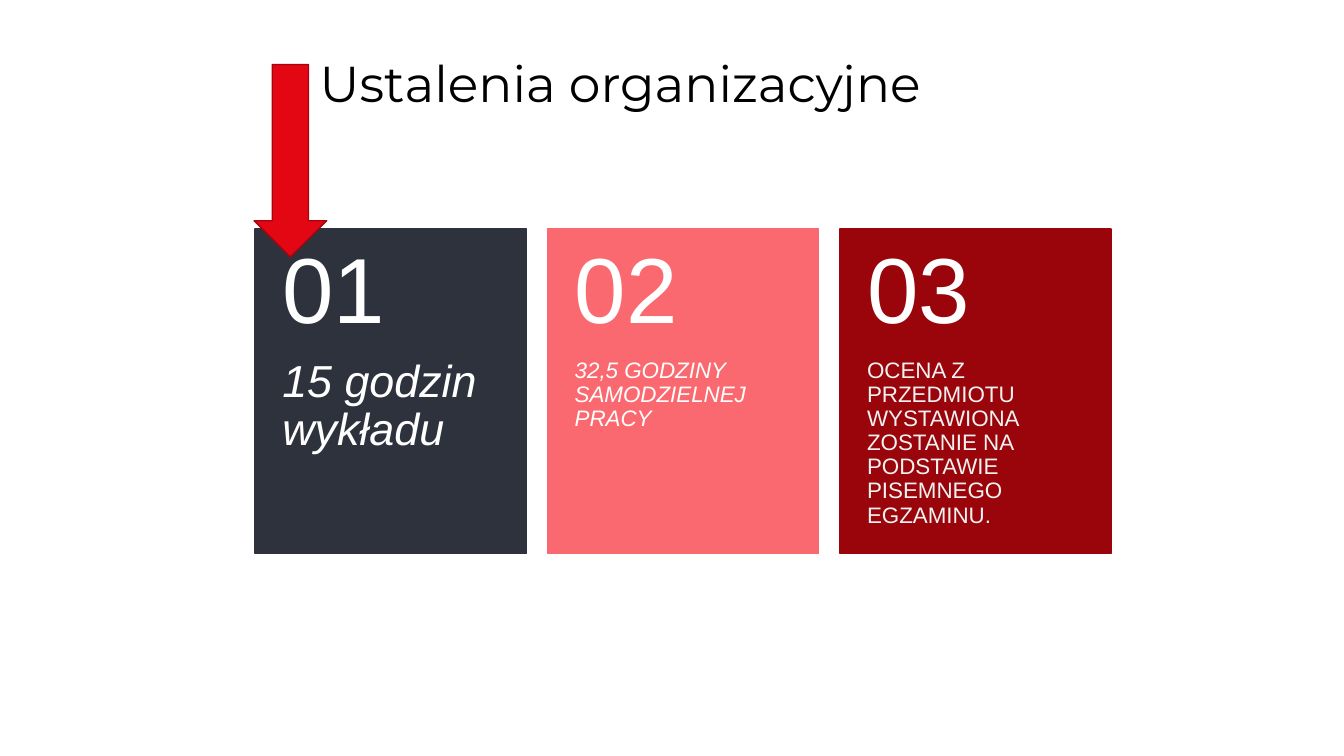
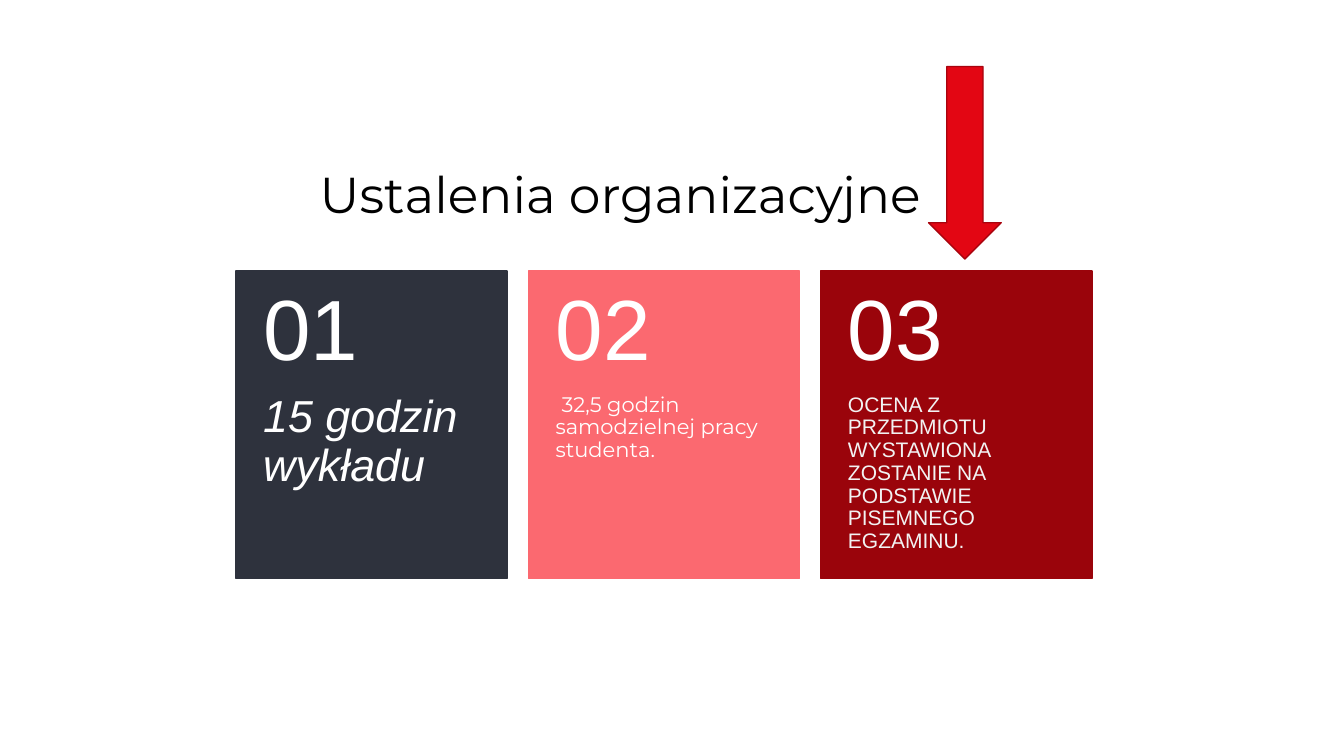
from pptx import Presentation
from pptx.dml.color import RGBColor
from pptx.enum.shapes import MSO_SHAPE
from pptx.enum.text import MSO_ANCHOR, MSO_AUTO_SIZE, PP_ALIGN
from pptx.util import Inches, Pt

BLACK = RGBColor(0x00, 0x00, 0x00)
WHITE = RGBColor(0xFF, 0xFF, 0xFF)
PALE = RGBColor(0xF2, 0xF2, 0xF2)
NAVY = RGBColor(0x2E, 0x32, 0x3D)
CORAL = RGBColor(0xFB, 0x69, 0x70)
MAROON = RGBColor(0x9A, 0x04, 0x0B)
RED = RGBColor(0xE3, 0x06, 0x13)
DARK_RED = RGBColor(0xA8, 0x04, 0x0E)

CARD_W, CARD_STEP = 2.69, 2.9
CARD_FILLS = [NAVY, CORAL, MAROON]
HOURS = dict(text="15 godzin wykładu", size=32, italic=True)
GRADE = dict(text="OCENA Z PRZEDMIOTU WYSTAWIONA ZOSTANIE NA PODSTAWIE "
                  "PISEMNEGO EGZAMINU.", color=PALE)

SLIDES = [
    dict(title_top=0.34, left=2.53, top=2.27, number_h=1.29, body_h=1.93,
         number_size=66, body_size=16, arrow=(2.52, 0.64),
         bodies=[HOURS,
                 dict(text="32,5 GODZINY SAMODZIELNEJ PRACY", italic=True),
                 GRADE]),
    dict(title_top=1.44, left=2.34, top=2.69, number_h=1.22, body_h=1.83,
         number_size=61, body_size=15, arrow=(9.21, 0.66),
         bodies=[HOURS,
                 dict(text="32,5 godzin samodzielnej pracy studenta.",
                      font="Montserrat", indent=0.06),
                 GRADE]),
]


def write(sp, text, size, font="Arial", color=WHITE, italic=False,
          anchor=MSO_ANCHOR.TOP, margins=(0.27, 0, 0.27, 0.36), indent=0):
    """Fill a shape with one paragraph; margins run left, top, right, bottom."""
    tf = sp.text_frame
    tf.word_wrap = True
    tf.auto_size = MSO_AUTO_SIZE.NONE
    tf.vertical_anchor = anchor
    (tf.margin_left, tf.margin_top,
     tf.margin_right, tf.margin_bottom) = [Inches(m) for m in margins]
    p = tf.paragraphs[0]
    p.alignment = PP_ALIGN.LEFT
    p.line_spacing = 0.9
    if indent:
        p._p.get_or_add_pPr().set("indent", str(Inches(indent)))
    r = p.add_run()
    r.text = text
    r.font.name = font
    r.font.size = Pt(size)
    r.font.italic = italic
    r.font.color.rgb = color


def add_block(s, kind, x, y, w, h, fill, line):
    sp = s.shapes.add_shape(kind, Inches(x), Inches(y), Inches(w), Inches(h))
    sp.shadow.inherit = False
    sp.fill.solid()
    sp.fill.fore_color.rgb = fill
    sp.line.color.rgb = line
    sp.line.width = Pt(1)


prs = Presentation()
prs.slide_width, prs.slide_height = Inches(13.33), Inches(7.5)

for page in SLIDES:
    s = prs.slides.add_slide(prs.slide_layouts[5])
    title = s.shapes.title
    title.left, title.top = Inches(2.42), Inches(page["title_top"])
    title.width, title.height = Inches(8.49), Inches(1.03)
    write(title, "Ustalenia organizacyjne", 36, font="Montserrat", color=BLACK,
          anchor=MSO_ANCHOR.MIDDLE, margins=(0.75, 0.05, 0.1, 0.05))

    top, number_h, body_h = page["top"], page["number_h"], page["body_h"]
    for i, (fill, body) in enumerate(zip(CARD_FILLS, page["bodies"])):
        x = page["left"] + i * CARD_STEP
        add_block(s, MSO_SHAPE.RECTANGLE, x, top, CARD_W, number_h + body_h,
                  fill, fill)
        body_box = s.shapes.add_textbox(Inches(x), Inches(top + number_h),
                                        Inches(CARD_W), Inches(body_h))
        write(body_box, **{"size": page["body_size"], **body})
        number_box = s.shapes.add_textbox(Inches(x), Inches(top),
                                          Inches(CARD_W), Inches(number_h))
        write(number_box, f"{i + 1:02}", page["number_size"],
              anchor=MSO_ANCHOR.MIDDLE, margins=(0.27, 0.18, 0.27, 0.18))

    add_block(s, MSO_SHAPE.DOWN_ARROW, *page["arrow"], 0.72, 1.91, RED, DARK_RED)

prs.save("out.pptx")
